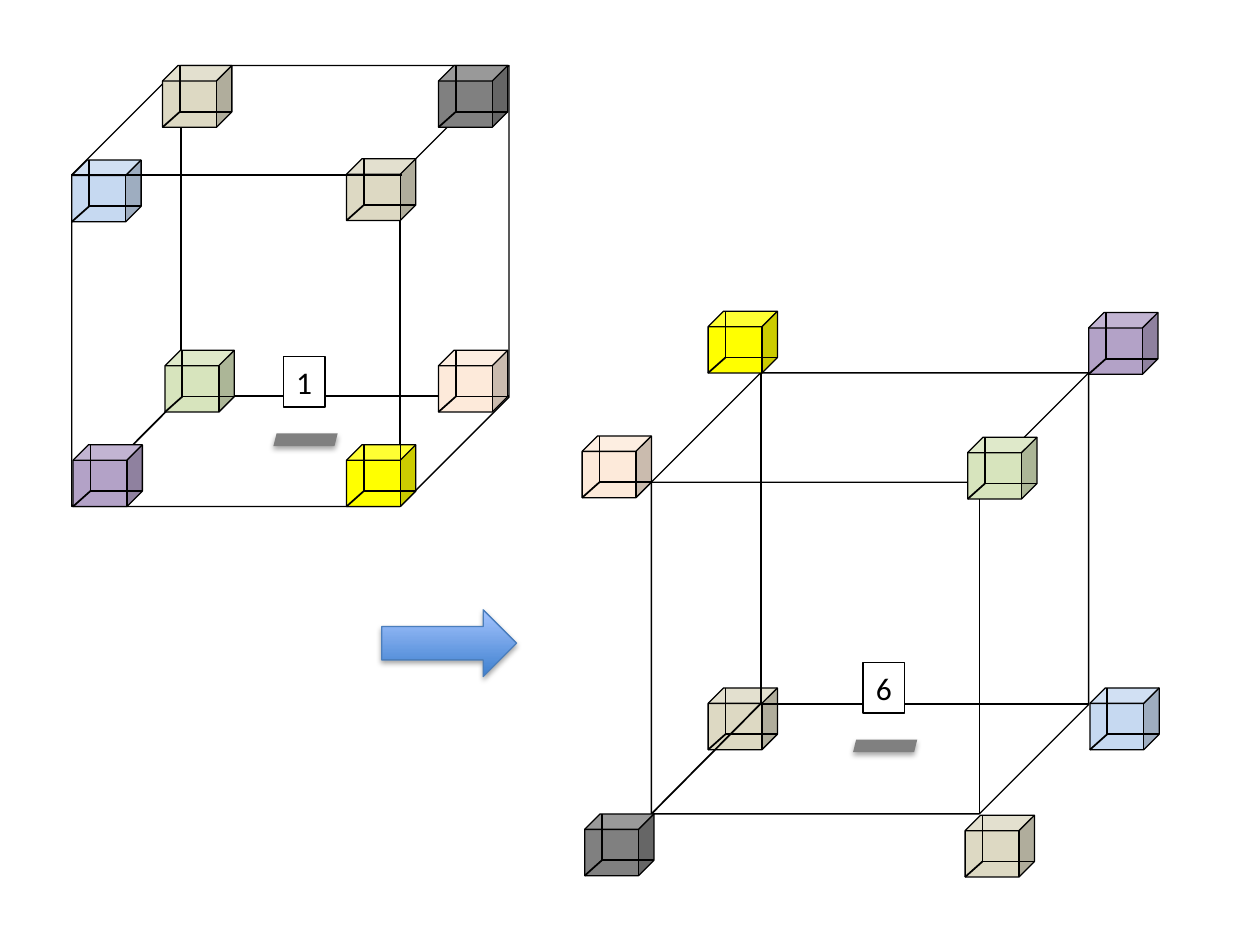
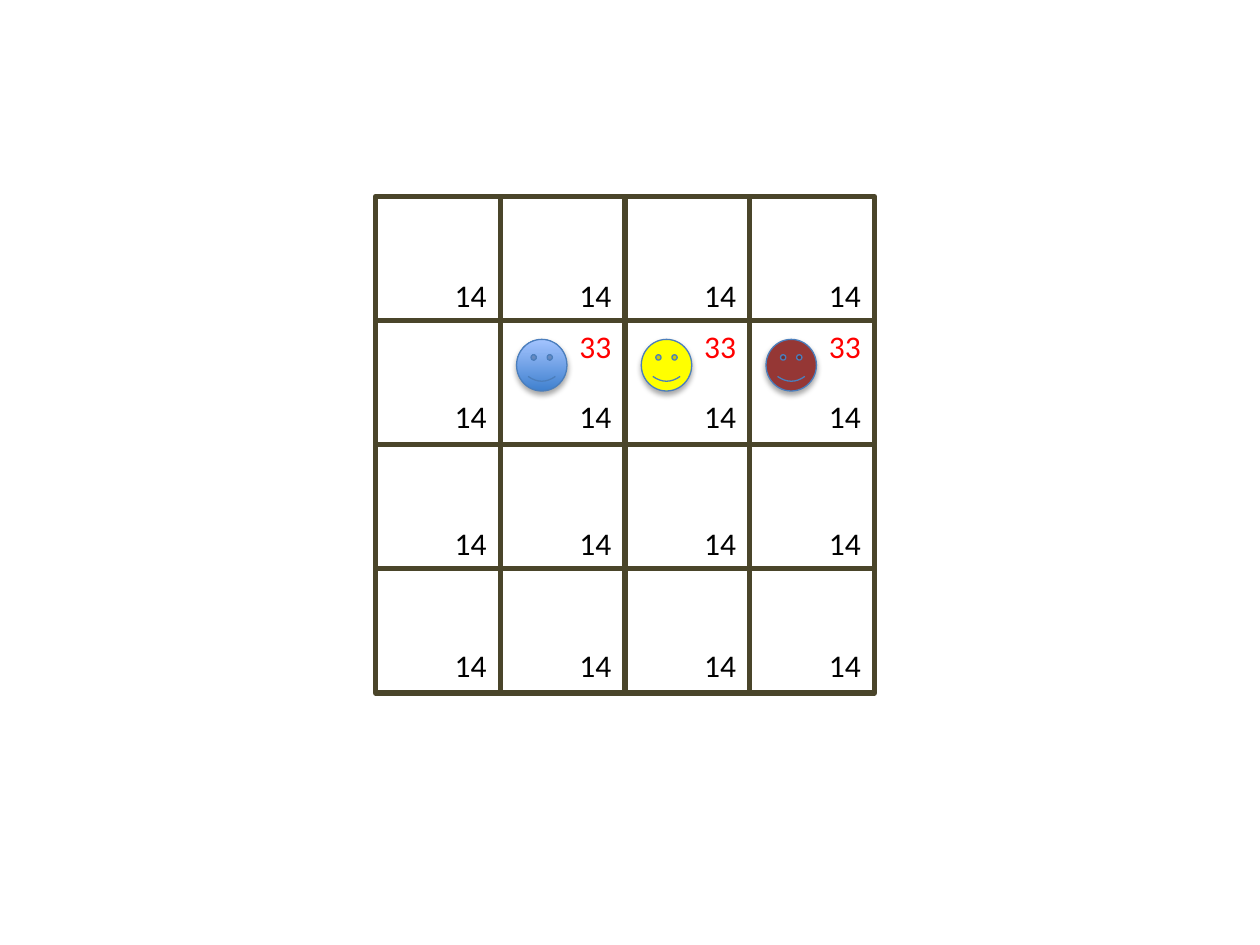
from dataclasses import dataclass

from lxml import etree
from pptx import Presentation
from pptx.dml.color import RGBColor
from pptx.enum.shapes import MSO_CONNECTOR, MSO_SHAPE
from pptx.enum.text import MSO_ANCHOR, MSO_AUTO_SIZE, PP_ALIGN
from pptx.oxml.ns import qn
from pptx.util import Inches, Pt

CUBE = MSO_SHAPE.CUBE
RECTANGLE = MSO_SHAPE.RECTANGLE
PARALLELOGRAM = MSO_SHAPE.PARALLELOGRAM
RIGHT_ARROW = MSO_SHAPE.RIGHT_ARROW
SMILEY = MSO_SHAPE.SMILEY_FACE
STRAIGHT = MSO_CONNECTOR.STRAIGHT
FIT_SHAPE = MSO_AUTO_SIZE.SHAPE_TO_FIT_TEXT
MIDDLE, TOP = MSO_ANCHOR.MIDDLE, MSO_ANCHOR.TOP
CENTER, LEFT = PP_ALIGN.CENTER, PP_ALIGN.LEFT


@dataclass(frozen=True)
class Theme:
    font: str = "Calibri"
    text_size: int = 18
    thin: float = 0.75
    edge: float = 1
    thick: float = 3
    black: str = "000000"
    white: str = "FFFFFF"
    red: str = "FF0000"
    yellow: str = "FFFF00"
    tan: str = "DDD9C3"
    purple: str = "B3A2C7"
    sky: str = "C6D9F1"
    green: str = "D7E4BD"
    peach: str = "FDEADA"
    gray: str = "808080"
    brown: str = "4A452A"
    maroon: str = "953735"
    outline: str = "4B7EBC"
    gradient: tuple = ("3F80CE", "A4C4FF")


THEME = Theme()

FRAME_SIZE = (3.47, 3.5)
CORNER_SIZE = (0.55, 0.49)
FRAMES = [
    {
        "position": (0.57, 0.52),
        "behind": [],
        "corners": [
            (0.58, 3.53, THEME.purple),
            (0.57, 1.27, THEME.sky),
            (1.29, 0.52, THEME.tan),
            (1.31, 2.78, THEME.green),
            (2.75, 3.53, THEME.yellow),
            (2.75, 1.26, THEME.tan),
            (3.48, 0.52, THEME.gray),
            (3.48, 2.78, THEME.peach),
        ],
        "label": ("1", 2.25, 2.83),
    },
    {
        "position": (5.17, 2.96),
        "behind": [(5.62, 5.46, THEME.tan)],
        "corners": [
            (4.64, 6.46, THEME.gray),
            (4.62, 3.46, THEME.peach),
            (5.62, 2.47, THEME.yellow),
            (7.66, 6.47, THEME.tan),
            (7.68, 3.47, THEME.green),
            (8.64, 2.48, THEME.purple),
            (8.65, 5.46, THEME.sky),
        ],
        "label": ("6", 6.85, 5.26),
    },
]
FRONT_EDGES = [((3.18, 1.42), (3.18, 3.98)), ((3.19, 1.39), (0.56, 1.39))]
ARROW_BOX = (3.03, 4.84, 1.07, 0.53)

CELL_TEXT = "14"
FACE_TEXT = "33"
GRID_LEFT, GRID_TOP = 2.98, 1.56
CELL_SIZE = 0.99
ROW_STEP = 2.95 / 3
GRID_COUNT = 4
NUMBER_TOPS = [2.14, 3.1, 4.11, 5.08]
NUMBER_INDENT = 0.53
FACE_ROW = 1
FACES = [(1, THEME.gradient), (2, THEME.yellow), (3, THEME.maroon)]


def color(value):
    return RGBColor.from_string(value)


def paint(shape, fill):
    if fill is None:
        shape.fill.background()
    elif isinstance(fill, tuple):
        shape.fill.gradient()
        shape.fill.gradient_angle = 90
        for stop, value in zip(shape.fill.gradient_stops, fill):
            stop.color.rgb = color(value)
    else:
        shape.fill.solid()
        shape.fill.fore_color.rgb = color(fill)


def add_soft_shadow(shape):
    effects = shape._element.spPr.find(qn("a:effectLst"))
    shadow = etree.SubElement(effects, qn("a:outerShdw"), blurRad="40000",
                              dist="23000", dir="5400000", rotWithShape="0")
    tint = etree.SubElement(shadow, qn("a:srgbClr"), val=THEME.black)
    etree.SubElement(tint, qn("a:alpha"), val="35000")


def add_shape(shapes, kind, box, fill, line=None, width=THEME.thin, shadow=False):
    shape = shapes.add_shape(kind, *map(Inches, box))
    shape.shadow.inherit = False
    paint(shape, fill)
    if line:
        shape.line.color.rgb = color(line)
        shape.line.width = Pt(width)
    else:
        shape.line.fill.background()
    if shadow:
        add_soft_shadow(shape)
    return shape


def add_line(shapes, start, end, width):
    connector = shapes.add_connector(STRAIGHT, *map(Inches, start + end))
    connector.line.color.rgb = color(THEME.black)
    connector.line.width = Pt(width)
    etree.SubElement(connector._element.spPr, qn("a:effectLst"))


def write(shape, text, text_color=THEME.black, align=LEFT, anchor=TOP):
    frame = shape.text_frame
    frame.text = text
    frame.word_wrap = False
    frame.auto_size = FIT_SHAPE
    frame.vertical_anchor = anchor
    paragraph = frame.paragraphs[0]
    paragraph.alignment = align
    font = paragraph.runs[0].font
    font.name = THEME.font
    font.size = Pt(THEME.text_size)
    font.color.rgb = color(text_color)


def add_wire_cube(slide, position, size, fill=None):
    left, top = position
    width, height = size
    shapes = slide.shapes.add_group_shape().shapes
    add_shape(shapes, CUBE, (left, top, width, height), fill, THEME.black)
    hidden = (left + width / 4, top + height * 3 / 4)
    ends = [(left, top + height), (hidden[0], top), (left + width, hidden[1])]
    for end in ends:
        add_line(shapes, hidden, end, THEME.edge)


def add_corners(slide, corners):
    for left, top, fill in corners:
        add_wire_cube(slide, (left, top), CORNER_SIZE, fill)


def add_frame(slide, frame):
    add_corners(slide, frame["behind"])
    add_wire_cube(slide, frame["position"], FRAME_SIZE)
    add_corners(slide, frame["corners"])
    text, left, top = frame["label"]
    shapes = slide.shapes.add_group_shape().shapes
    label = add_shape(shapes, RECTANGLE, (left, top, 0.33, 0.4),
                      THEME.white, THEME.black)
    write(label, text, align=CENTER, anchor=MIDDLE)
    add_shape(shapes, PARALLELOGRAM, (left - 0.08, top + 0.61, 0.51, 0.1),
              THEME.gray, shadow=True)


def build_cubes(slide):
    for frame in FRAMES:
        add_frame(slide, frame)
    add_shape(slide.shapes, RIGHT_ARROW, ARROW_BOX, THEME.gradient,
              THEME.outline, shadow=True)
    for start, end in FRONT_EDGES:
        add_line(slide.shapes, start, end, THEME.thin)


def add_number(slide, text, column, top, text_color=THEME.black):
    left = GRID_LEFT + column * CELL_SIZE + NUMBER_INDENT
    box = slide.shapes.add_textbox(*map(Inches, (left, top, 0.46, 0.4)))
    write(box, text, text_color)


def build_grid(slide):
    cells = slide.shapes.add_group_shape().shapes
    for row in range(GRID_COUNT):
        for column in range(GRID_COUNT):
            left = GRID_LEFT + column * CELL_SIZE
            top = GRID_TOP + row * ROW_STEP
            add_shape(cells, RECTANGLE, (left, top, CELL_SIZE, CELL_SIZE),
                      THEME.white, THEME.brown, THEME.thick)
    for top in NUMBER_TOPS:
        for column in range(GRID_COUNT):
            add_number(slide, CELL_TEXT, column, top)
    face_top = GRID_TOP + FACE_ROW * ROW_STEP
    for column, fill in FACES:
        left = GRID_LEFT + column * CELL_SIZE + 0.13
        add_shape(slide.shapes, SMILEY, (left, face_top + 0.15, 0.4, 0.41),
                  fill, THEME.outline, shadow=True)
        add_number(slide, FACE_TEXT, column, face_top, THEME.red)


def main():
    presentation = Presentation()
    presentation.slide_width = Inches(10)
    presentation.slide_height = Inches(7.5)
    blank = presentation.slide_layouts[6]
    for build in (build_cubes, build_grid):
        build(presentation.slides.add_slide(blank))
    presentation.save("out.pptx")


if __name__ == "__main__":
    main()
